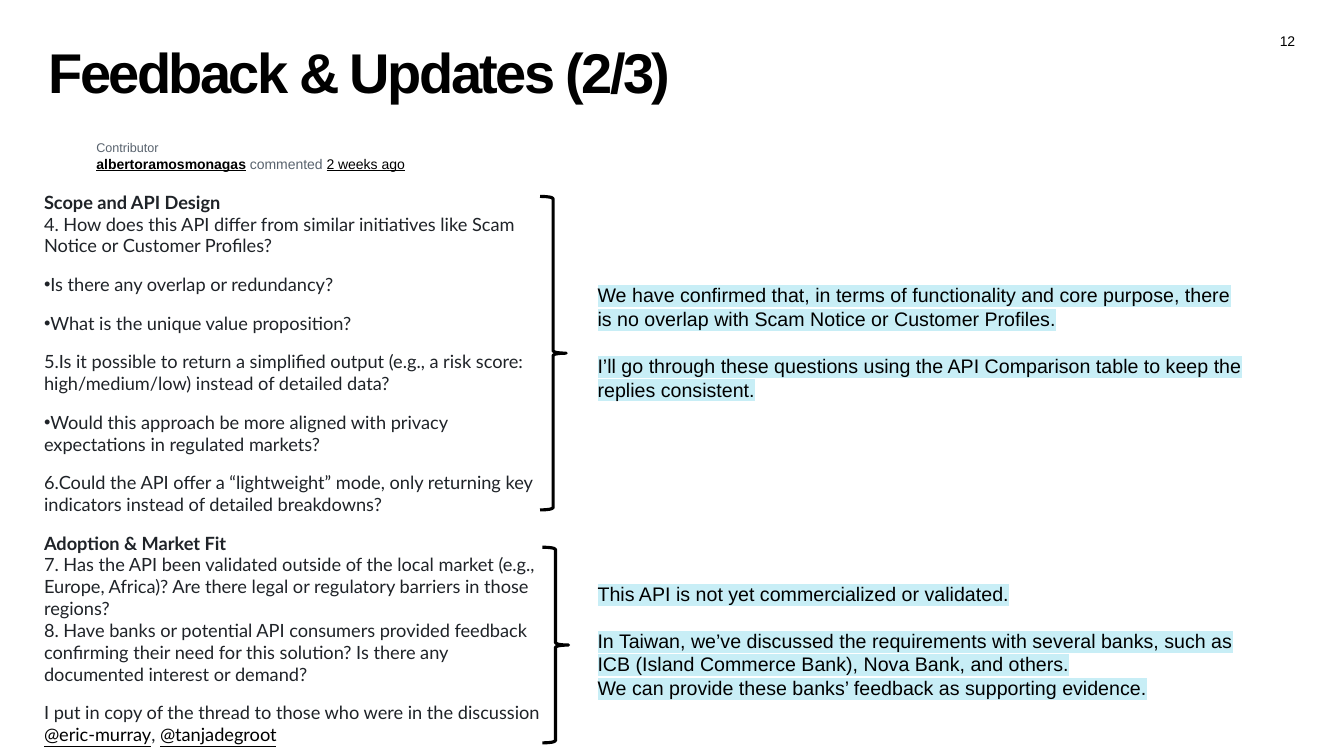
from lxml import etree
from pptx import Presentation
from pptx.dml.color import RGBColor
from pptx.enum.shapes import MSO_SHAPE
from pptx.enum.text import MSO_ANCHOR, MSO_AUTO_SIZE, PP_ALIGN
from pptx.oxml.ns import qn
from pptx.util import Cm, Pt

RECTANGLE = MSO_SHAPE.RECTANGLE
RIGHT_BRACE = MSO_SHAPE.RIGHT_BRACE
TOP, MIDDLE = MSO_ANCHOR.TOP, MSO_ANCHOR.MIDDLE
LEFT, RIGHT = PP_ALIGN.LEFT, PP_ALIGN.RIGHT
NO_AUTOFIT = MSO_AUTO_SIZE.NONE

BLACK, WHITE, INK, GREY, HIGHLIGHT = "000000", "FFFFFF", "1F2328", "59636E", "C8EEF6"


def add_text(paragraph, text, size, color=BLACK, font="Arial", bold=False,
             underline=False, spacing=None, highlight=None):
    for index, line in enumerate(text.split("\n")):
        if index:
            paragraph.add_line_break()
        if not line:
            continue
        run = paragraph.add_run()
        run.text = line
        run.font.size = Pt(size)
        run.font.bold = bold
        run.font.underline = underline
        run.font.color.rgb = RGBColor.from_string(color)
        properties = run.font._element
        if spacing is not None:
            properties.set("spc", str(spacing))
        if highlight:
            mark = etree.SubElement(properties, qn("a:highlight"))
            etree.SubElement(mark, qn("a:srgbClr")).set("val", highlight)
        run.font.name = font


def format_frame(frame, left=0, top=0, right=0, bottom=0, anchor=TOP):
    frame.word_wrap = True
    frame.auto_size = NO_AUTOFIT
    frame.vertical_anchor = anchor
    frame.margin_left, frame.margin_right = Cm(left), Cm(right)
    frame.margin_top, frame.margin_bottom = Cm(top), Cm(bottom)


presentation = Presentation()
presentation.slide_width = Cm(33.87)
presentation.slide_height = Cm(19.05)
slide = presentation.slides.add_slide(presentation.slide_layouts[5])
shapes = slide.shapes

title = shapes.title
title.left, title.top, title.width, title.height = Cm(1.22), Cm(1.22), Cm(31.42), Cm(1.42)
format_frame(title.text_frame)
title_paragraph = title.text_frame.paragraphs[0]
title_paragraph.alignment = LEFT
title_paragraph.line_spacing = 0.83
add_text(title_paragraph, "Feedback & Updates (2/3)", 40, bold=True, spacing=-180)

page_number = shapes.add_textbox(Cm(31.39), Cm(0.81), Cm(1.25), Cm(0.43))
format_frame(page_number.text_frame)
page_number.text_frame.paragraphs[0].alignment = RIGHT
add_text(page_number.text_frame.paragraphs[0], "12", 10, spacing=-20)

questions = [
    (None, [("Scope and API Design\n", {"bold": True}),
            ("4. How does this API differ from similar initiatives like Scam Notice "
             "or Customer Profiles?", {})]),
    ("•", [("Is there any overlap or redundancy?", {})]),
    ("•", [("What is the unique value proposition?", {})]),
    (5, [("Is it possible to return a simplified output (e.g., a risk score: "
          "high/medium/low) instead of detailed data?", {})]),
    ("•", [("Would this approach be more aligned with privacy expectations in "
            "regulated markets?", {})]),
    (6, [("Could the API offer a “lightweight” mode, only returning key indicators "
          "instead of detailed breakdowns?", {})]),
    (None, [("Adoption & Market Fit\n", {"bold": True}),
            ("7. Has the API been validated outside of the local market (e.g., Europe, "
             "Africa)? Are there legal or regulatory barriers in those regions?\n"
             "8. Have banks or potential API consumers provided feedback confirming their "
             "need for this solution? Is there any documented interest or demand?", {})]),
    (None, [("I put in copy of the thread to those who were in the discussion ", {}),
            ("@eric-murray", {"color": BLACK, "underline": True}),
            (", ", {}),
            ("@tanjadegroot", {"color": BLACK, "underline": True})]),
]
table = shapes.add_table(1, 1, Cm(0.86), Cm(4.57), Cm(13.21), Cm(12.17)).table
table.first_row = False
table.horz_banding = False
cell = table.cell(0, 0)
cell.fill.background()
cell.vertical_anchor = MIDDLE
cell.margin_left = cell.margin_right = cell.margin_top = cell.margin_bottom = Cm(0.25)
for index, (marker, pieces) in enumerate(questions):
    frame = cell.text_frame
    paragraph = frame.add_paragraph() if index else frame.paragraphs[0]
    if index < len(questions) - 1:
        paragraph.space_after = Pt(12)
    if marker:
        properties = paragraph._p.get_or_add_pPr()
        properties.set("marL", "0")
        properties.set("indent", "0")
        if marker == "•":
            etree.SubElement(properties, qn("a:buFont")).set("typeface", "Arial")
            etree.SubElement(properties, qn("a:buChar")).set("char", marker)
        else:
            numbering = etree.SubElement(properties, qn("a:buAutoNum"))
            numbering.set("type", "arabicPeriod")
            numbering.set("startAt", str(marker))
    for text, changes in pieces:
        add_text(paragraph, text, 13, **{"color": INK, "font": "Lato", **changes})

comment = shapes.add_shape(RECTANGLE, Cm(2.18), Cm(3.15), Cm(8.33), Cm(1.45))
comment.shadow.inherit = False
comment.fill.solid()
comment.fill.fore_color.rgb = RGBColor.from_string(WHITE)
comment.line.fill.background()
format_frame(comment.text_frame, left=0.25, top=0.38, right=0.25)
role = comment.text_frame.paragraphs[0]
author = comment.text_frame.add_paragraph()
role.alignment = author.alignment = LEFT
add_text(role, "Contributor", 9, GREY)
add_text(author, "albertoramosmonagas", 10, bold=True, underline=True)
add_text(author, " commented ", 10, GREY)
add_text(author, "2 weeks ago", 10, underline=True)

for left, top, height in [(13.61, 4.95, 7.9), (13.67, 13.79, 4.93)]:
    brace = shapes.add_shape(RIGHT_BRACE, Cm(left), Cm(top), Cm(0.66), Cm(height))
    brace.shadow.inherit = False
    brace.fill.background()
    brace.line.color.rgb = RGBColor.from_string(BLACK)
    brace.line.width = Pt(2.25)

answers = [
    (7.01, ["We have confirmed that, in terms of functionality and core purpose, there is "
            "no overlap with Scam Notice or Customer Profiles.",
            "I’ll go through these questions using the API Comparison table to keep the "
            "replies consistent."]),
    (14.53, ["This API is not yet commercialized or validated.",
             "In Taiwan, we’ve discussed the requirements with several banks, such as "
             "ICB (Island Commerce Bank), Nova Bank, and others.",
             "We can provide these banks’ feedback as supporting evidence."]),
]
for top, lines in answers:
    answer = shapes.add_textbox(Cm(14.81), Cm(top), Cm(16.92), Cm(3.25))
    frame = answer.text_frame
    format_frame(frame, left=0.25, top=0.13, right=0.25, bottom=0.13)
    for index, line in enumerate(lines):
        paragraph = frame.add_paragraph() if index else frame.paragraphs[0]
        paragraph.line_spacing = Pt(16.8)
        if index == 1:
            paragraph.space_before = Pt(16.8)
        add_text(paragraph, line, 14, highlight=HIGHLIGHT)

presentation.save("out.pptx")
